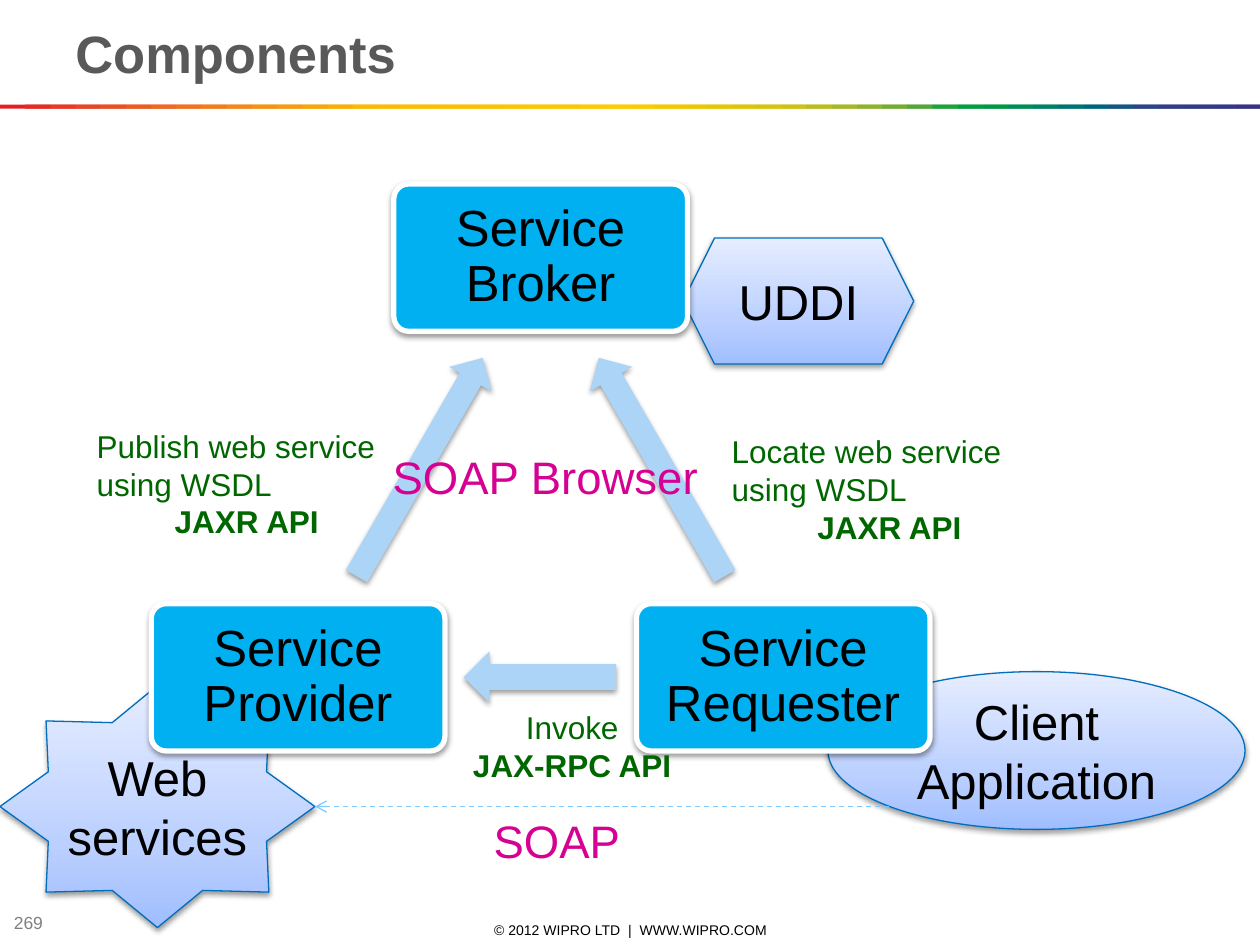
from dataclasses import dataclass

from pptx import Presentation
from pptx.dml.color import RGBColor
from pptx.enum import dml, shapes, text
from pptx.oxml import parse_xml
from pptx.oxml.ns import nsdecls
from pptx.util import Cm, Pt


@dataclass(frozen=True)
class Theme:
    font: str = "Arial"
    heading: str = "595959"
    page: str = "808080"
    ink: str = "000000"
    note: str = "006600"
    soap: str = "D60093"
    role: str = "00B0F0"
    role_edge: str = "FFFFFF"
    arrow: str = "ABD4F6"
    partner_edge: str = "006EBC"
    call: str = "80CAFF"
    title_size: float = 30
    role_size: float = 29
    partner_size: float = 28
    soap_size: float = 26
    note_size: float = 18
    page_size: float = 10
    copyright_size: float = 8


@dataclass(frozen=True)
class Box:
    """An area in centimetres; inside() gives a part relative to it."""
    left: float
    top: float
    width: float
    height: float

    def inside(self, left, top, width, height):
        return Box(self.left + left, self.top + top, width, height)

    def lengths(self):
        return [Cm(v) for v in (self.left, self.top, self.width, self.height)]


THEME = Theme()
SHAPE = shapes.MSO_SHAPE
CENTER = text.PP_ALIGN.CENTER
LEFT = text.PP_ALIGN.LEFT
MIDDLE = text.MSO_ANCHOR.MIDDLE

SPECTRUM = """
E31E24 E42C24 E53A24 E74623 E85122 EA5D21 EC691F EE741D EF7E1A F18817
F39314 F49C0F F6A607 F8B002 FBBA00 FBBB00 FBBD00 FCBF00 FCC000 FCC200
FDC400 FDC600 FDC700 FEC900 FECB00 FBCB00 F3CA00 ECC800 E4C602 DCC50A
D5C30E CCC117 B8BC21 A3B829 8CB230 71AD36 51A73B 1DA240 009D43 009846
008C57 008068 007275 00637F 185384 2E4285 313E85 333B85 353885 393185
""".split()

SHADOW = f"""<a:effectLst {nsdecls('a')}>
<a:outerShdw blurRad="40000" dist="20000" dir="5400000" rotWithShape="0">
<a:srgbClr val="000000"><a:alpha val="38000"/></a:srgbClr>
</a:outerShdw></a:effectLst>"""

GRADIENT = f"""<a:gradFill {nsdecls('a')} rotWithShape="1"><a:gsLst>
<a:gs pos="0"><a:srgbClr val="A0BEFF"/></a:gs>
<a:gs pos="35000"><a:srgbClr val="BCD0FF"/></a:gs>
<a:gs pos="100000"><a:srgbClr val="E5EDFF"/></a:gs>
</a:gsLst><a:lin ang="16200000" scaled="0"/></a:gradFill>"""


def rgb(value):
    return RGBColor.from_string(value)


def write(frame, lines, size, color, align=LEFT, anchor=text.MSO_ANCHOR.TOP):
    """Fill a frame; each line is (words, bold, alignment or None)."""
    frame.word_wrap = True
    frame.vertical_anchor = anchor
    for i, (words, bold, own_align) in enumerate(lines):
        paragraph = frame.paragraphs[0] if i == 0 else frame.add_paragraph()
        paragraph.alignment = own_align or align
        run = paragraph.add_run()
        run.text = words
        run.font.name = THEME.font
        run.font.size = Pt(size)
        run.font.bold = bold
        run.font.color.rgb = rgb(color)


def add_label(slide, box, lines, size, color, **layout):
    label = slide.shapes.add_textbox(*box.lengths())
    write(label.text_frame, lines, size, color, **layout)


def add_figure(slide, kind, box, fill=None, edge=None, edge_width=0.75, shadow=True):
    """A preset shape; without a fill colour it takes the pale blue gradient."""
    figure = slide.shapes.add_shape(kind, *box.lengths())
    figure.shadow.inherit = False
    properties = figure.element.spPr
    if fill:
        figure.fill.solid()
        figure.fill.fore_color.rgb = rgb(fill)
    else:
        properties.insert(2, parse_xml(GRADIENT))
    if edge:
        figure.line.color.rgb = rgb(edge)
        figure.line.width = Pt(edge_width)
    else:
        figure.line.fill.background()
    if shadow:
        properties.replace(properties[-1], parse_xml(SHADOW))
    return figure


def add_header(slide, box):
    # Title
    add_label(slide, box.inside(1.27, 0.3, 22.86, 1.55),
              [("Components", True, None)], THEME.title_size, THEME.heading)
    # Rainbow rule: each band reaches under the next one
    step = box.width / len(SPECTRUM)
    for i, color in enumerate(SPECTRUM):
        width = min(2 * step, box.width - i * step)
        add_figure(slide, SHAPE.RECTANGLE, box.inside(i * step, 2.11, width, 0.08),
                   color, shadow=False)


def add_footer(slide, box):
    add_label(slide, box.inside(8.69, 0.24, 8.05, 0.41),
              [("© 2012 WIPRO LTD  |  WWW.WIPRO.COM", False, None)],
              THEME.copyright_size, THEME.ink, align=CENTER, anchor=MIDDLE)
    add_label(slide, box.inside(0.03, 0.04, 1.93, 0.53), [("269", False, None)],
              THEME.page_size, THEME.page, anchor=MIDDLE)


def add_partners(slide, box):
    """The shapes that stand behind each role."""
    for kind, words, place in (
        (SHAPE.OVAL, "Client Application", (16.69, 10.54, 8.41, 3.18)),
        (SHAPE.STAR_8_POINT, "Web services", (0, 10.82, 6.35, 4.88)),
        (SHAPE.HEXAGON, "UDDI", (13.77, 1.8, 4.65, 2.54)),
    ):
        partner = add_figure(slide, kind, box.inside(*place), edge=THEME.partner_edge)
        write(partner.text_frame, [(words, False, None)], THEME.partner_size,
              THEME.ink, CENTER, MIDDLE)


def add_cycle(slide, box):
    """Three roles at the corners of a triangle, with arrows between them."""
    role_w, role_h = 5.92, 2.97
    right, bottom = box.width - role_w, box.height - role_h
    for words, left, top in (("Service Broker", right / 2, 0),
                             ("Service Requester", right, bottom),
                             ("Service Provider", 0, bottom)):
        role = add_figure(slide, SHAPE.ROUNDED_RECTANGLE,
                          box.inside(left, top, role_w, role_h),
                          THEME.role, THEME.role_edge, 3)
        role.adjustments[0] = 0.1
        frame = role.text_frame
        frame.margin_left = frame.margin_right = Cm(0.3)
        frame.margin_top = frame.margin_bottom = Cm(0.3)
        write(frame, [(words, False, None)], THEME.role_size, THEME.ink, CENTER, MIDDLE)
        frame.paragraphs[0].line_spacing = 0.9

    # Locate and publish mirror each other; invoke lies flat
    slant, inset = 5.08, 2.87
    for kind, place, angle in (
        (SHAPE.LEFT_ARROW, (box.width - inset - slant, 5.21, slant, 0.99), 60),
        (SHAPE.LEFT_ARROW, (6.3, 9.42, 3.07, 1.04), 0),
        (SHAPE.RIGHT_ARROW, (inset, 5.21, slant, 0.99), 300),
    ):
        arrow = add_figure(slide, kind, box.inside(*place), THEME.arrow)
        arrow.rotation = angle


def add_messages(slide, box):
    # Protocol names
    for words, place, align in (
        ("SOAP Browser", (6.55, 5.92, 8.89, 1.37), CENTER),
        ("SOAP", (9.7, 13.26, 3.63, 1.37), LEFT),
    ):
        add_label(slide, box.inside(*place), [(words, False, None)],
                  THEME.soap_size, THEME.soap, align=align)
    # What each arrow does, with its API below
    for action, api, place, align in (
        ("Publish web service using WSDL", "JAXR API", (1.7, 5.48, 6.55, 2.57), LEFT),
        ("Locate web service using WSDL", "JAXR API", (14.5, 5.59, 6.86, 2.57), LEFT),
        ("Invoke", "JAX-RPC API", (9.02, 11.15, 5.03, 2.57), CENTER),
    ):
        add_label(slide, box.inside(*place),
                  [(action, False, align), (api, True, CENTER)],
                  THEME.note_size, THEME.note)
    # Dashed call from the client to the web services
    start, end = box.inside(17.93, 13.26, 0, 0), box.inside(6.35, 13.26, 0, 0)
    call = slide.shapes.add_connector(
        shapes.MSO_CONNECTOR.STRAIGHT,
        Cm(start.left), Cm(start.top), Cm(end.left), Cm(end.top))
    call.line.color.rgb = rgb(THEME.call)
    call.line.width = Pt(0.75)
    call.line.dash_style = dml.MSO_LINE.DASH
    call.line._get_or_add_ln().append(
        parse_xml(f'<a:tailEnd {nsdecls("a")} type="arrow"/>'))
    call.element.spPr.append(parse_xml(f'<a:effectLst {nsdecls("a")}/>'))


def main():
    deck = Presentation()
    deck.slide_width, deck.slide_height = Cm(25.4), Cm(19.05)
    slide = deck.slides.add_slide(deck.slide_layouts[6])
    body = Box(0, 3, 25.4, 15.3)
    add_footer(slide, Box(0, 18.3, 25.4, 0.75))
    add_header(slide, Box(0, 0, 25.4, 2.2))
    add_partners(slide, body)
    add_cycle(slide, body.inside(3.05, 0.71, 15.7, 11.43))
    add_messages(slide, body)
    deck.save("out.pptx")


if __name__ == "__main__":
    main()
